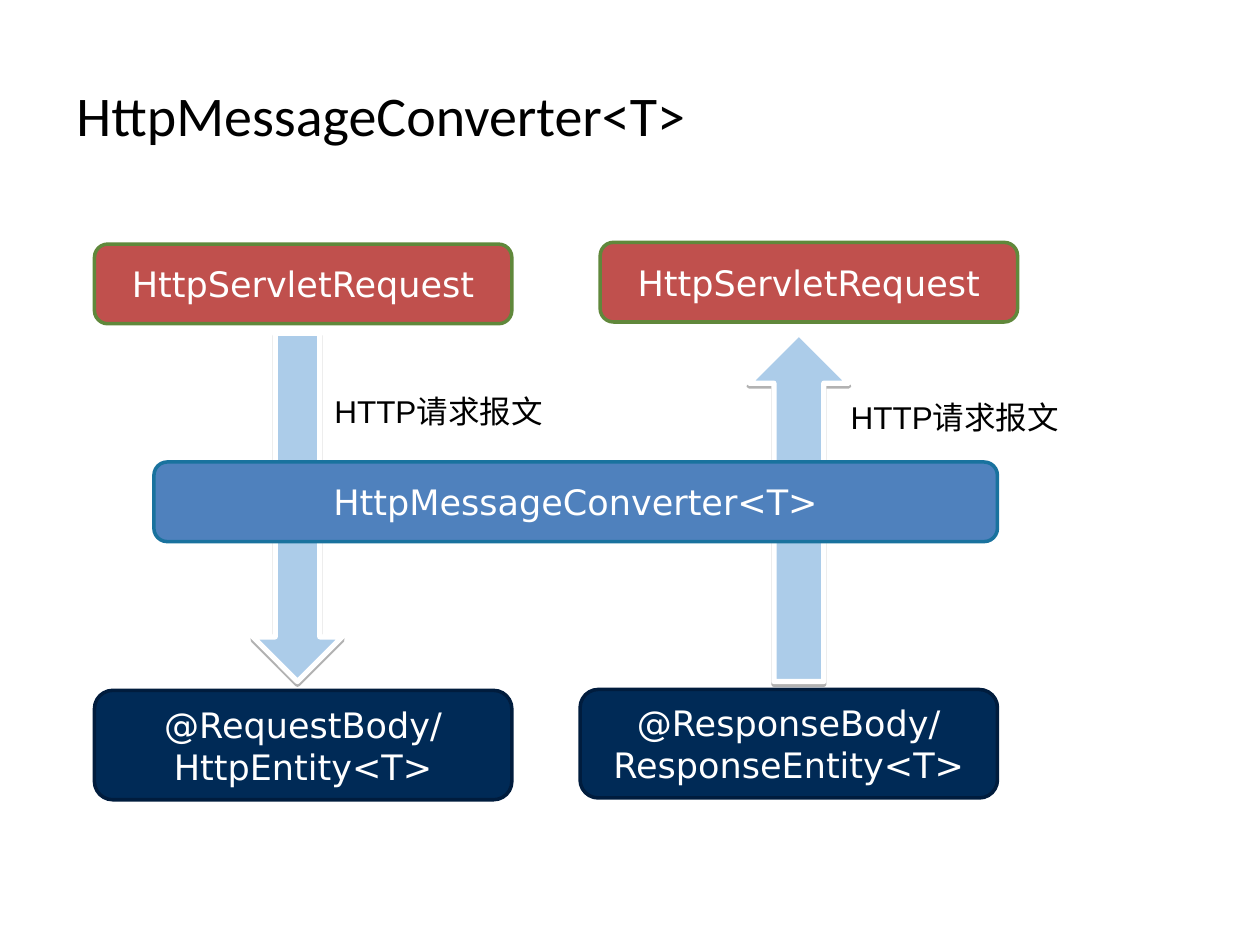
import pptx
import pptx.util
import pptx.dml.color
import pptx.enum.shapes
import pptx.enum.text
import pptx.oxml
import pptx.oxml.ns

Pt = pptx.util.Pt
SHAPE = pptx.enum.shapes.MSO_SHAPE
ALIGN = pptx.enum.text.PP_ALIGN
MIDDLE = pptx.enum.text.MSO_ANCHOR.MIDDLE

TITLE = "HttpMessageConverter<T>"
RED = ("C0504D", "60883B")
NAVY = ("002A56", "001C3D")
BLUE = ("4F81BD", "19729E")

# lines of text, (left, top, width, height), (fill, line)
ENDS = [
    (["HttpServletRequest"], (54, 139.5, 238.5, 45.5), RED),
    (["HttpServletRequest"], (343, 138.5, 238.5, 45.5), RED),
    (["@RequestBody/", "HttpEntity<T>"], (54, 394.5, 238.5, 62.5), NAVY),
    (["@ResponseBody/", "ResponseEntity<T>"], (331.5, 394, 238.5, 62), NAVY),
]
ARROWS = [
    (SHAPE.DOWN_ARROW, (144.5, 190.5, 51, 199)),
    (SHAPE.UP_ARROW, (428, 190.5, 57, 199)),
]
HUB = ([TITLE], (88, 264, 482, 45.5), BLUE)
LABELS = [
    ("HTTP请求报文", (184, 220.5, 158.5, 29)),
    ("HTTP请求报文", (479, 224, 142, 29)),
]
SHADOW = (
    '<a:effectLst xmlns:a="http://schemas.openxmlformats.org/drawingml/2006/main">'
    '<a:outerShdw dist="20320" dir="5400000" rotWithShape="0">'
    '<a:srgbClr val="000000"><a:alpha val="29000"/></a:srgbClr>'
    "</a:outerShdw></a:effectLst>"
)


def color(code):
    return pptx.dml.color.RGBColor.from_string(code)


def write(frame, lines, face, size, ink, align):
    frame.word_wrap = True
    frame.text = "\n".join(lines)
    for para in frame.paragraphs:
        para.alignment = align
        para.font.name = face
        para.font.size = Pt(size)
        para.font.color.rgb = color(ink)


def draw(slide, kind, place, fill, edge, width):
    shape = slide.shapes.add_shape(kind, *map(Pt, place))
    shape.shadow.inherit = False
    shape.fill.solid()
    shape.fill.fore_color.rgb = color(fill)
    shape.line.color.rgb = color(edge)
    shape.line.width = Pt(width)
    return shape


def add_box(slide, lines, place, hues):
    box = draw(slide, SHAPE.ROUNDED_RECTANGLE, place, *hues, 2)
    box.text_frame.vertical_anchor = MIDDLE
    write(box.text_frame, lines, "DejaVu Sans", 20, "FFFFFF", ALIGN.CENTER)


def add_arrow(slide, kind, place):
    arrow = draw(slide, kind, place, "ACCCE9", "FFFFFF", 3)
    props = arrow._element.spPr
    props.remove(props.find(pptx.oxml.ns.qn("a:effectLst")))
    props.append(pptx.oxml.parse_xml(SHADOW))


def main():
    deck = pptx.Presentation()
    deck.slide_width, deck.slide_height = Pt(720), Pt(540)
    slide = deck.slides.add_slide(deck.slide_layouts.get_by_name("Title Only"))

    title = slide.shapes.title
    title.left, title.top, title.width, title.height = map(Pt, (36.5, 20, 648, 90))
    title.text_frame.vertical_anchor = MIDDLE
    write(title.text_frame, [TITLE], "Calibri", 32, "000000", ALIGN.LEFT)

    for box in ENDS:
        add_box(slide, *box)
    for arrow in ARROWS:
        add_arrow(slide, *arrow)
    add_box(slide, *HUB)
    for text, place in LABELS:
        label = slide.shapes.add_textbox(*map(Pt, place))
        write(label.text_frame, [text], "Arial", 18, "000000", ALIGN.LEFT)

    deck.save("out.pptx")


if __name__ == "__main__":
    main()
